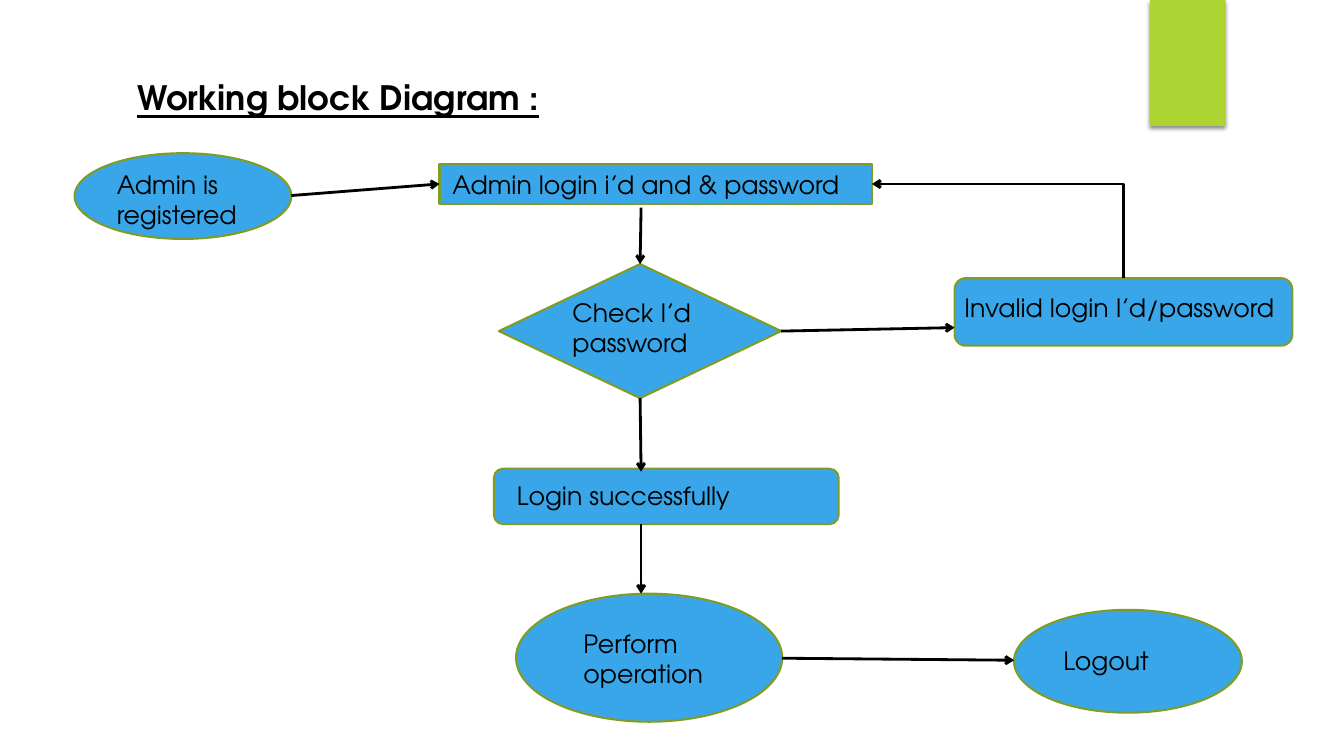
import pptx
import pptx.util
import pptx.dml.color
import pptx.enum.shapes
import pptx.enum.text
import pptx.oxml
import pptx.oxml.ns

SHAPE = pptx.enum.shapes.MSO_SHAPE
CONNECTOR = pptx.enum.shapes.MSO_CONNECTOR
TOP, LEFT, BOTTOM, RIGHT = range(4)

# All places are in grid cells: ten columns and ten rows to the inch.
CELL = pptx.util.Inches(0.1)
COLUMNS, ROWS = 133.33, 75
FONT = "TeX Gyre Adventor"
BLACK, BLUE, OLIVE, GREEN = "000000", "38A6E9", "7F9D26", "ACD433"

TITLE = ("Working block Diagram :", (12.6, 7.1, 73.9, 5))
TAB = (114.1, 0, 7.5, 12.5)
AXIS = 63.6

# name: (preset shape, place of the shape, label, place of the label)
STEPS = {
    "registered": (SHAPE.OVAL, (7.4, 15.2, 21.5, 8.5),
                   "Admin is registered", (10.6, 16.3, 15.2, 7.1)),
    "login": (SHAPE.RECTANGLE, (43.6, 16.3, 42.9, 3.9),
              "Admin login i’d and & password", (43.9, 16.3, 41.1, 4)),
    "check": (SHAPE.DIAMOND, (49.5, 26.2, 28, 13.3),
              "Check I’d password", (55.8, 29, 15.5, 7.1)),
    "invalid": (SHAPE.ROUNDED_RECTANGLE, (94.7, 27.6, 33.5, 6.7),
                "Invalid login I’d/password", (94.7, 28.5, 41.6, 4)),
    "success": (SHAPE.ROUNDED_RECTANGLE, (49, 46.5, 34.2, 5.5),
                "Login successfully", (50.3, 47.2, 31.7, 4)),
    "perform": (SHAPE.OVAL, (51.2, 58.9, 26.4, 12.7),
                "Perform operation", (56.9, 61.8, 14.4, 7.1)),
    "logout": (SHAPE.OVAL, (100.6, 60.5, 22.6, 10.2),
               "Logout", (104.5, 63.5, 13.8, 4)),
}

# Each end is a point, or a step's name with the side it is joined to.
ARROWS = [
    ((28.9, 19.4), ("login", LEFT)),
    ((AXIS, 20.6), ("check", TOP)),
    (("check", BOTTOM), (AXIS, 46.8)),
    (("check", RIGHT), (94.7, 32.5)),
    ((AXIS, 52), (AXIS, 58.9)),
    ((77.6, 65.3), (100.6, 65.5)),
]
RETRY = (("login", RIGHT), ("invalid", TOP))


def cells(*lengths):
    return [round(length * CELL) for length in lengths]


def color(value):
    return pptx.dml.color.RGBColor.from_string(value)


def xml(markup):
    """Parse one DrawingML element whose opening tag is its first word."""
    head, rest = markup.split(" ", 1)
    return pptx.oxml.parse_xml(f"{head} {pptx.oxml.ns.nsdecls('a')} {rest}")


def write(box, text, size=18, bold=False, underline=False):
    frame = box.text_frame
    frame.word_wrap = True
    frame.vertical_anchor = pptx.enum.text.MSO_ANCHOR.TOP
    frame.auto_size = pptx.enum.text.MSO_AUTO_SIZE.SHAPE_TO_FIT_TEXT
    para = frame.paragraphs[0]
    para.alignment = pptx.enum.text.PP_ALIGN.LEFT
    span = para.add_run()
    span.text = text
    font = span.font
    font.name, font.size = FONT, pptx.util.Pt(size)
    font.bold, font.underline = bold, underline
    font.color.rgb = color(BLACK)


def draw_shape(page, kind, place, fill, line=None):
    shape = page.shapes.add_shape(kind, *cells(*place))
    shape.shadow.inherit = False
    shape.fill.solid()
    shape.fill.fore_color.rgb = color(fill)
    if line:
        shape.line.color.rgb = color(line)
        shape.line.width = pptx.util.Pt(1.5)
    else:
        shape.line.fill.background()
    return shape


def draw_tab(page):
    tab = draw_shape(page, SHAPE.RECTANGLE, TAB, GREEN)
    effects = tab.element.spPr.find(pptx.oxml.ns.qn("a:effectLst"))
    effects.append(xml(
        '<a:outerShdw blurRad="38100" dist="25400" dir="5400000" rotWithShape="0">'
        '<a:srgbClr val="000000"><a:alpha val="45000"/></a:srgbClr></a:outerShdw>'))


def draw_connector(page, shapes, ends, kind=CONNECTOR.STRAIGHT, arrow="tailEnd"):
    connector = page.shapes.add_connector(kind, 0, 0, 0, 0)
    (connector.begin_x, connector.begin_y), (connector.end_x, connector.end_y) = [
        cells(*(STEPS[end[0]][1][:2] if end[0] in shapes else end)) for end in ends]
    for end, join in zip(ends, (connector.begin_connect, connector.end_connect)):
        if end[0] in shapes:
            join(shapes[end[0]], end[1])
    connector.line.color.rgb = color(BLACK)
    connector.line.width = pptx.util.Pt(2)
    properties = connector.element.spPr
    line = properties.find(pptx.oxml.ns.qn("a:ln"))
    line.append(xml(f'<a:{arrow} type="arrow"/>'))
    properties.append(xml("<a:effectLst />"))
    return connector


def main():
    deck = pptx.Presentation()
    deck.slide_width, deck.slide_height = cells(COLUMNS, ROWS)
    page = deck.slides.add_slide(deck.slide_layouts[5])
    draw_tab(page)

    title, place = TITLE
    heading = page.shapes.title
    heading.left, heading.top, heading.width, heading.height = cells(*place)
    write(heading, title, size=24, bold=True, underline=True)

    shapes = {}
    for name, (kind, place, label, label_place) in STEPS.items():
        shapes[name] = draw_shape(page, kind, place, BLUE, OLIVE)
        write(page.shapes.add_textbox(*cells(*label_place)), label)

    for ends in ARROWS:
        draw_connector(page, shapes, ends)
    retry = draw_connector(page, shapes, RETRY, CONNECTOR.ELBOW, "headEnd")
    outline = retry.element.spPr.find(pptx.oxml.ns.qn("a:prstGeom"))
    outline.set("prst", "bentConnector2")

    deck.save("out.pptx")


if __name__ == "__main__":
    main()
